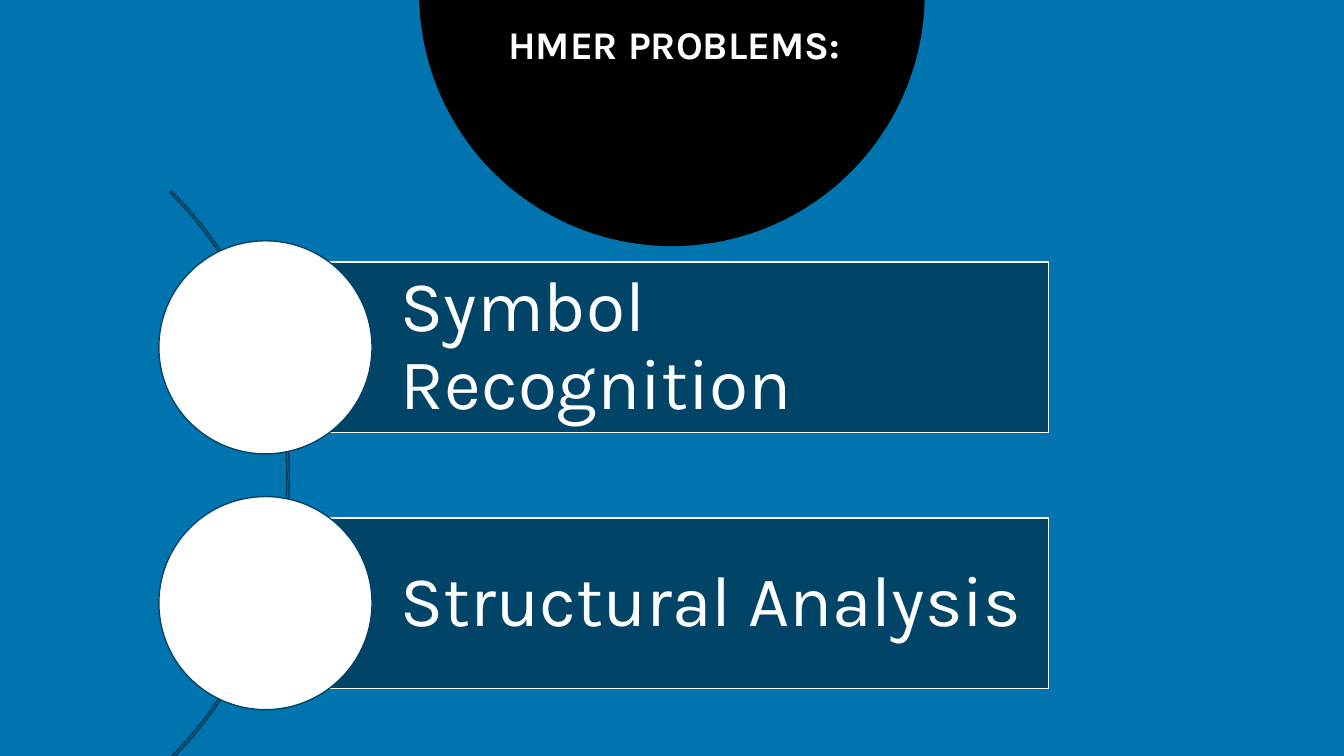
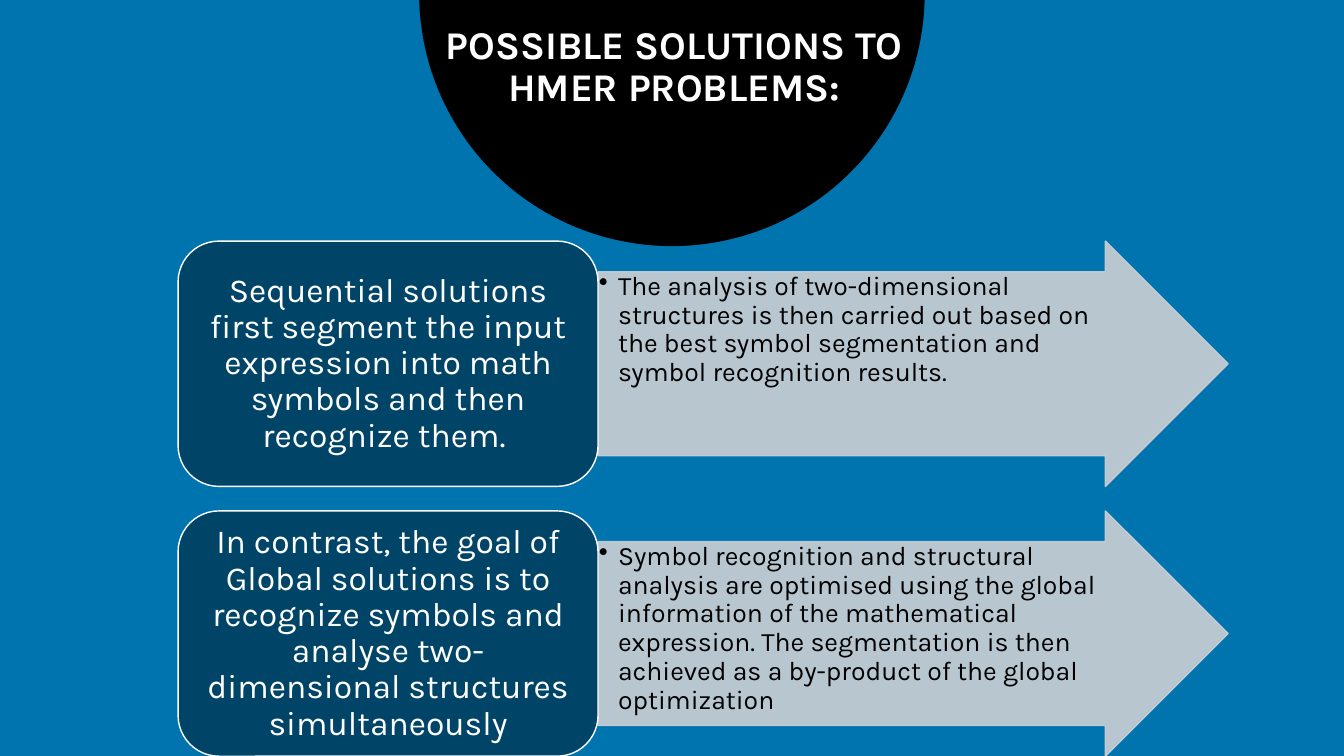
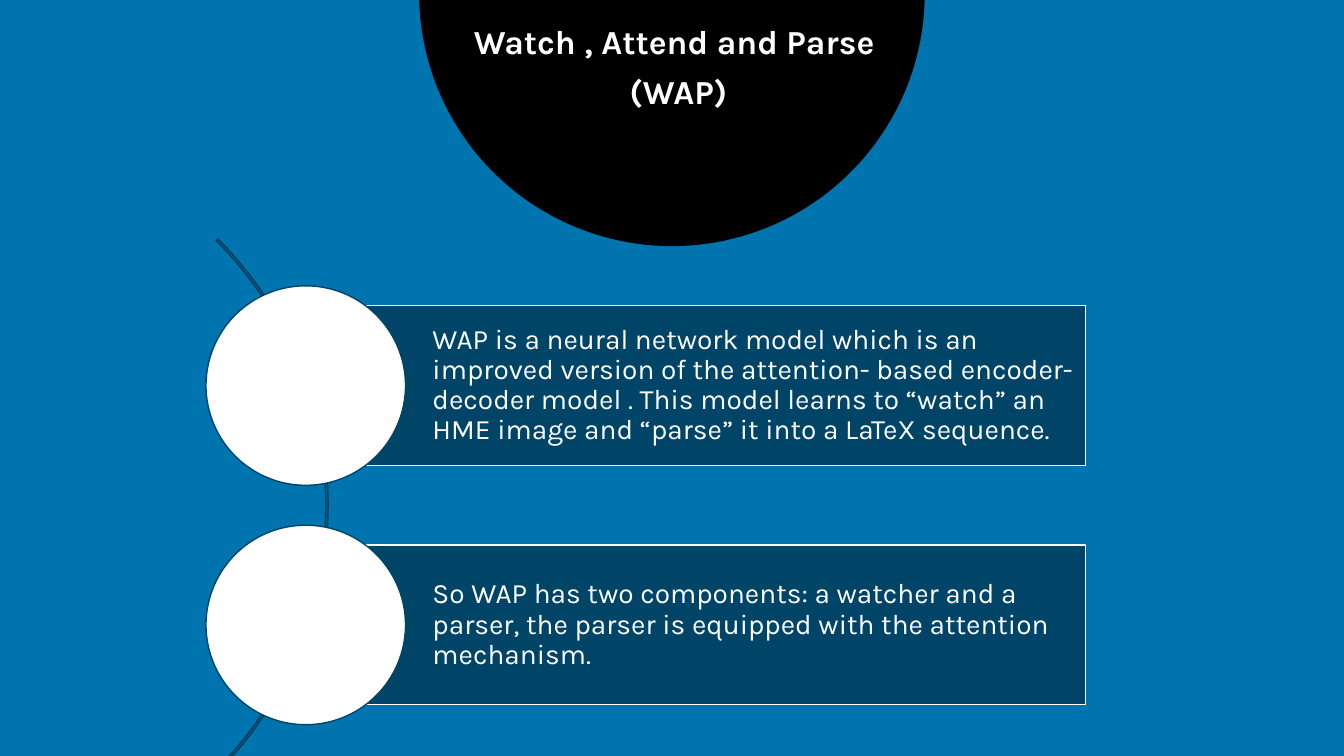
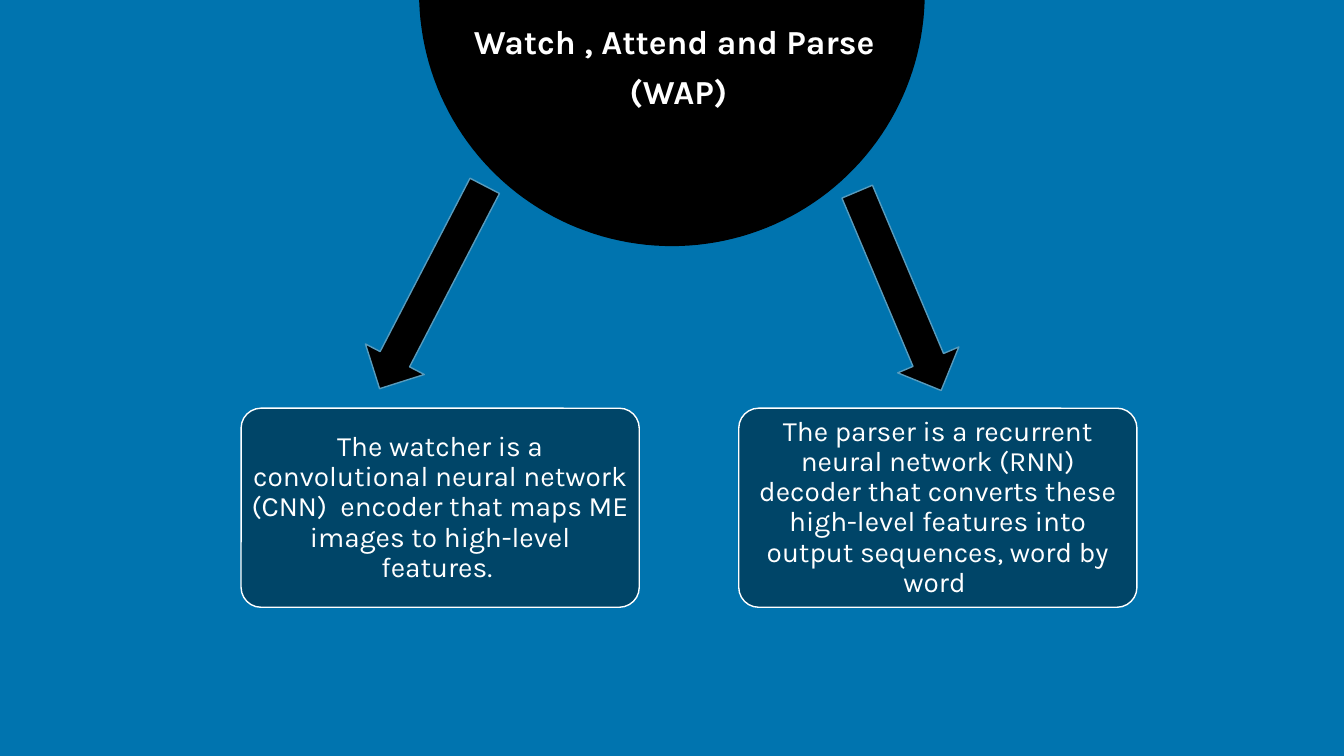
from math import cos, pi, sin

from lxml import etree
from pptx import Presentation
from pptx.dml.color import RGBColor
from pptx.enum.shapes import MSO_SHAPE
from pptx.enum.text import MSO_ANCHOR, MSO_AUTO_SIZE, PP_ALIGN
from pptx.oxml.ns import qn
from pptx.util import Inches, Pt

ARC, RECT, CIRCLE = MSO_SHAPE.BLOCK_ARC, MSO_SHAPE.RECTANGLE, MSO_SHAPE.OVAL
CARD, RIGHT_ARROW, DOWN_ARROW = (
    MSO_SHAPE.ROUNDED_RECTANGLE, MSO_SHAPE.RIGHT_ARROW, MSO_SHAPE.DOWN_ARROW)
TOP, MIDDLE = MSO_ANCHOR.TOP, MSO_ANCHOR.MIDDLE
LEFT, CENTER = PP_ALIGN.LEFT, PP_ALIGN.CENTER
GROW = MSO_AUTO_SIZE.SHAPE_TO_FIT_TEXT

COLUMNS, ROWS = 160, 90
BLUE, NAVY, DEEP = "0074AF", "004568", "003753"
WHITE, BLACK, GREY, EDGE = "FFFFFF", "000000", "CCCFD4", "579BBD"
FONT = "Karla"
DEFAULT_PADS = (1.2, 0.6, 1.2, 0.6)


def cells(count):
    return Inches(count / 12)


def rgb(code):
    return RGBColor.from_string(code)


def write(shape, text, size, color=WHITE, bold=False, align=LEFT, anchor=MIDDLE,
          pads=DEFAULT_PADS, before=0, bullet=False):
    frame = shape.text_frame
    frame.word_wrap = True
    frame.vertical_anchor = anchor
    frame.margin_left, frame.margin_top, frame.margin_right, frame.margin_bottom = map(cells, pads)
    frame.text = text
    for paragraph in frame.paragraphs:
        paragraph.alignment = align
        paragraph.line_spacing = 0.9
        paragraph.space_before = Pt(before)
        font = paragraph.runs[0].font
        font.name, font.size, font.bold = FONT, Pt(size), bold
        font.color.rgb = rgb(color)
        if bullet:
            paragraph.level = 1
            properties = paragraph._p.get_or_add_pPr()
            properties.set("marL", str(Inches(0.19)))
            properties.set("indent", str(-Inches(0.19)))
            etree.SubElement(properties, qn("a:buChar")).set("char", "•")


class Deck:
    def __init__(self):
        self.prs = Presentation()
        self.prs.slide_width, self.prs.slide_height = cells(COLUMNS), cells(ROWS)
        background = self.prs.slide_master.background.fill
        background.solid()
        background.fore_color.rgb = rgb(BLUE)
        self.slide = None

    def paint(self, shape, fill, line):
        shape.shadow.inherit = False
        if fill:
            shape.fill.solid()
            shape.fill.fore_color.rgb = rgb(fill)
        else:
            shape.fill.background()
        if line:
            shape.line.color.rgb = rgb(line)
            shape.line.width = Pt(1)
        else:
            shape.line.fill.background()

    def shape(self, kind, left, top, width, height, fill, line, adjustments=(), opacity=100):
        shape = self.slide.shapes.add_shape(kind, *map(cells, (left, top, width, height)))
        self.paint(shape, fill, line)
        for index, value in enumerate(adjustments):
            shape.adjustments[index] = value
        if opacity < 100:
            for color in shape._element.spPr.iter(qn("a:srgbClr")):
                etree.SubElement(color, qn("a:alpha")).set("val", str(opacity * 1000))
        return shape

    def dome(self, radius=30.1, center_top=-0.8, steps=90):
        points = [(cells(COLUMNS / 2 + radius * cos(pi * step / steps)),
                   cells(center_top + radius * sin(pi * step / steps)))
                  for step in range(steps + 1)]
        outline = self.slide.shapes.build_freeform(*points[0], scale=1.0)
        outline.add_line_segments(points[1:], close=True)
        self.paint(outline.convert_to_shape(), BLACK, None)

    def start(self, title, size, height):
        self.slide = self.prs.slides.add_slide(self.prs.slide_layouts[6])
        self.dome()
        heading = self.slide.shapes.add_textbox(*map(cells, (51.5, 2.4, 57.5, height)))
        write(heading, title, size, bold=True, align=CENTER, anchor=TOP, before=10)
        heading.text_frame.auto_size = GROW

    def curved_list(self, items, left, top, width, height, size, pad):
        pitch, dot, ring = 1.5 * height, 1.25 * height, 4.72 * height
        middle = top + (pitch * (len(items) - 1) + height) / 2
        self.shape(ARC, left + 0.14 * height - ring, middle - ring / 2, ring, ring,
                   None, DEEP, (189, 27, 0.003))
        for index, item in enumerate(items):
            bar_top = top + index * pitch
            bar = self.shape(RECT, left, bar_top, width, height, NAVY, WHITE)
            write(bar, item, size, pads=(0.794 * height, pad, pad, pad))
            self.shape(CIRCLE, left - dot / 2, bar_top + (height - dot) / 2, dot, dot, WHITE, NAVY)

    def card(self, text, left, top, width, height, size, corner=0.1667, pads=DEFAULT_PADS):
        card = self.shape(CARD, left, top, width, height, NAVY, WHITE, (corner,))
        write(card, text, size, align=CENTER, pads=pads)

    def arrow_list(self, pairs, left, top, width, height):
        for index, (solution, detail) in enumerate(pairs):
            row_top = top + index * 1.1 * height
            arrow = self.shape(RIGHT_ARROW, left + width, row_top, 1.5 * width, height,
                               GREY, GREY, (0.75, 0.5), opacity=90)
            write(arrow, detail, 19, BLACK, anchor=TOP, pads=(0.1,) * 4, bullet=True)
            self.card(solution, left, row_top, width, height, 24)

    def card_row(self, texts, left, top, width):
        for index, text in enumerate(texts):
            self.card(text, left + index * 1.25 * width, top, width, width / 2, 20,
                      corner=0.1, pads=(0.5, 0.3, 0.5, 0.3))

    def pointer(self, left, top, height, rotation):
        pointer = self.shape(DOWN_ARROW, left, top, 7.9, height, BLACK, EDGE)
        pointer.rotation = rotation


def main():
    deck = Deck()

    deck.start("HMER PROBLEMS:", 28, 6.4)
    deck.curved_list(["Symbol Recognition", "Structural Analysis"],
                     31.6, 31.2, 93.2, 20.3, size=51, pad=1.7)

    deck.start("POSSIBLE SOLUTIONS TO HMER PROBLEMS:", 28, 11.4)
    deck.arrow_list([
        ("Sequential solutions first segment the input expression into math symbols "
         "and then recognize them. ",
         "The analysis of two-dimensional structures is then carried out based on the best "
         "symbol segmentation and symbol recognition results."),
        ("In contrast, the goal of Global solutions is to recognize symbols and analyse "
         "two-dimensional structures simultaneously",
         "Symbol recognition and structural analysis are optimised using the global information "
         "of the mathematical expression. The segmentation is then achieved as a by-product "
         "of the global optimization"),
    ], 21.2, 28.7, 50, 29.2)

    model_title = "Watch , Attend and Parse\n (WAP)"
    deck.start(model_title, 24, 11.6)
    deck.curved_list([
        "WAP is a neural network model which is an improved version of the attention- based "
        "encoder-decoder model . This model learns to “watch” an HME image and “parse” it "
        "into a LaTeX sequence.",
        "So WAP has two components: a watcher and a parser, the parser is equipped with "
        "the attention mechanism.",
    ], 36.4, 36.4, 92.8, 19, size=20, pad=0.7)

    deck.start(model_title, 24, 11.6)
    deck.card_row([
        "The watcher is a convolutional neural network (CNN)  encoder that maps ME images "
        "to high-level features. ",
        "The parser is a recurrent neural network (RNN) decoder that converts these "
        "high-level features into output sequences, word by word ",
    ], 28.7, 48.6, 47.4)
    deck.pointer(47.5, 20.6, 27.2, 27.4)
    deck.pointer(103.1, 21.8, 25.7, 337.1)

    deck.prs.save("out.pptx")


if __name__ == "__main__":
    main()
